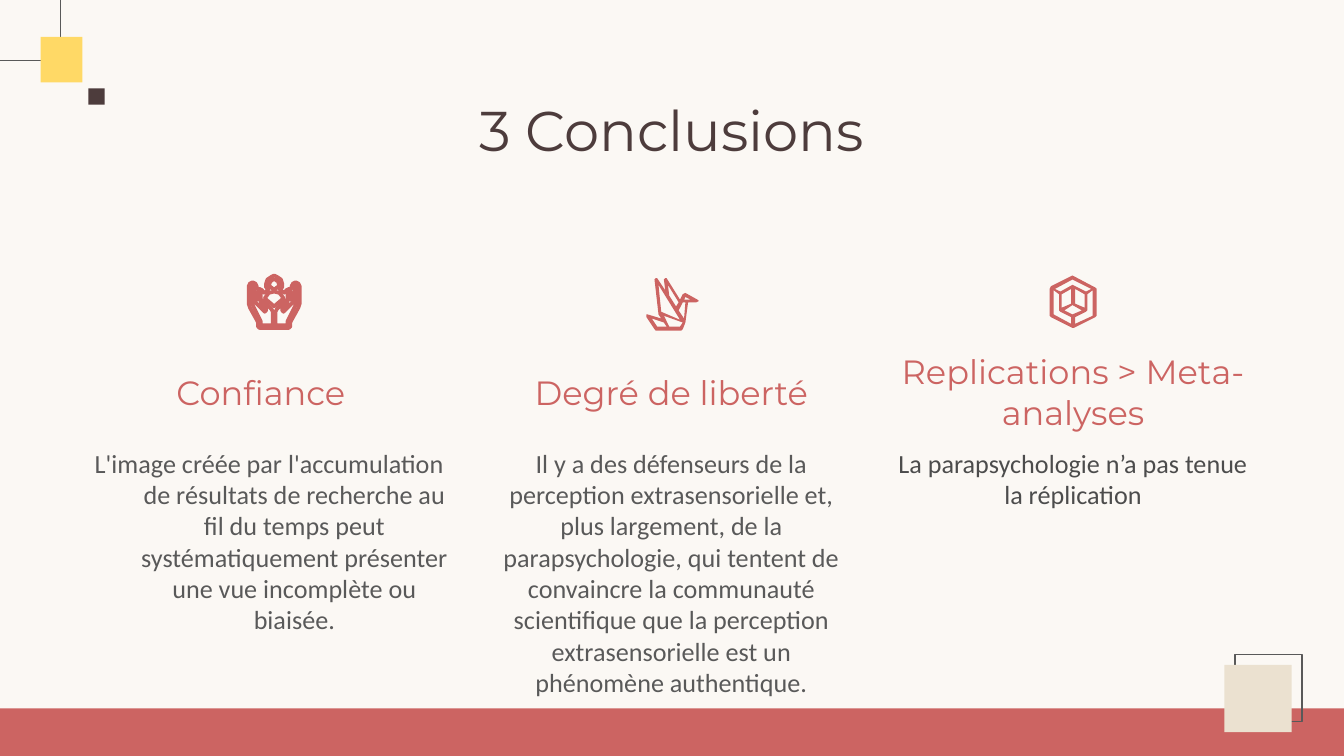
"""Build a slide with three conclusions, each under its own icon."""
import math
from dataclasses import dataclass
from typing import Optional

import pptx
import pptx.dml.color
import pptx.enum.shapes
import pptx.enum.text
import pptx.oxml
import pptx.oxml.ns
import pptx.slide
import pptx.text.text
import pptx.util

Cm = pptx.util.Cm
Pt = pptx.util.Pt
Contour = list[tuple[float, float]]

COLOURS = {
    "paper": "FBF8F4", "rule": "595959", "yellow": "FFD966", "brown": "4D3C3C",
    "red": "CC6462", "sand": "EBE1D0", "body": "595959", "dark body": "4C4C4C",
}
ICON_UNIT = Cm(0.0254)
HAND_AXIS = 204


@dataclass
class Block:
    left: float
    top: float
    width: float
    height: float
    fill: Optional[str] = None
    outline: Optional[str] = None


@dataclass
class Label:
    text: str
    left: float
    top: float
    width: float
    height: float
    font: str
    size: float
    colour: str
    centred: bool = True
    margin: float = 0
    indent: float = 0


@dataclass
class Column:
    centre: float
    heading: str
    heading_width: float
    body: str
    body_width: float
    body_colour: str = "body"
    margin: float = 0
    indent: float = 0


@dataclass
class Icon:
    contours: list[Contour]
    filled: bool = True


def circle(x: float, y: float, radius: float, steps: int = 20) -> Contour:
    angles = [2 * math.pi * step / steps for step in range(steps)]
    return [(x + radius * math.sin(angle), y - radius * math.cos(angle)) for angle in angles]


def mirror(contour: Contour) -> Contour:
    return [(2 * HAND_AXIS - x, y) for x, y in contour]


FINGER = [(215.5, 217), (217, 218), (217, 223), (216, 223), (214, 222), (214, 218)]
PALM = [
    (220, 212), (221, 213), (221, 226), (220, 227), (215, 237), (214, 239), (214, 242),
    (205, 242), (205, 232), (206, 230), (212, 224), (213, 223), (214, 224), (214, 225),
    (210, 229), (210, 231), (211, 231.5), (212, 231), (218, 225), (219, 222), (219, 213),
]
HALF_RIM = [
    (204, 205), (206.5, 205.6), (209, 207.5), (210, 211), (209.5, 213.5), (208, 215),
    (210, 217), (212, 218), (213, 216), (215, 215), (217, 215), (217, 213), (218, 211),
    (220, 210), (222, 211), (223, 213), (223, 226), (222, 229), (217, 238), (216, 240),
    (216, 243), (215, 244),
]
HEART = [
    (204, 217), (208, 218.5), (211, 222), (204.5, 228.5), (203.5, 228.5), (197, 222), (200, 218.5),
]
CUBE = Icon([
    [(798, 208), (812, 215), (808, 217), (798.5, 212), (789, 217), (785, 215)],
    [(797, 215), (797, 226), (790, 229), (790, 219)],
    [(800, 215), (807, 219), (807, 229), (800, 226)],
    [(798, 227), (805, 231), (798, 234), (792, 231)],
    [(784, 216), (788, 219), (788, 231), (789, 232), (797, 236), (797, 241), (784, 234)],
    [(813, 216), (813, 235), (800, 241), (800, 236), (808, 232), (809, 231), (809, 219)],
    [(798.5, 205), (782, 213), (781, 215), (781, 235), (782, 236), (798, 244.5), (799, 244.5),
     (815, 236), (816, 235), (816, 215), (815, 214)],
])
BIRD = Icon([
    [(510, 221), (514, 223), (509, 223)],
    [(497, 212), (505, 225), (503, 228), (498, 220)],
    [(510, 225), (509, 237), (505, 231), (508, 225)],
    [(490, 212), (506, 238), (492, 232)],
    [(485, 237), (494, 240), (496, 243), (489, 243)],
    [(494, 235), (508, 240), (506, 243), (498, 243)],
    [(488, 207), (487, 208), (490, 234), (492, 237), (482, 234), (481, 234.5), (481, 236),
     (487, 245), (488, 246), (507, 246), (508, 245), (510, 240), (512, 225), (518, 225),
     (519.5, 224), (519, 223), (510, 218), (508, 219), (506, 223), (496, 207), (495, 207),
     (494, 208), (495, 216), (489, 207)],
])
HANDS = Icon([
    circle(HAND_AXIS, 211.5, 3.5), FINGER, mirror(FINGER), HEART, PALM, mirror(PALM),
    HALF_RIM + mirror(HALF_RIM)[:0:-1],
], filled=False)

BLOCKS = [
    Block(0.77, 0.7, 0.79, 0.86, fill="yellow"),
    Block(1.67, 1.67, 0.31, 0.31, fill="brown"),
    Block(0, 13.39, 25.4, 0.9, fill="red"),
    Block(23.34, 12.37, 1.27, 1.27, outline="rule"),
    Block(23.14, 12.57, 1.27, 1.27, fill="sand"),
]
COLUMNS = [
    Column(4.93, "Confiance", 6.86,
           "L'image créée par l'accumulation de résultats de recherche au fil du temps peut "
           "systématiquement présenter une vue incomplète ou biaisée.", 7.77,
           margin=1.27, indent=-0.95),
    Column(12.69, "Degré de liberté", 7.24,
           "Il y a des défenseurs de la perception extrasensorielle et, plus largement, de la "
           "parapsychologie, qui tentent de convaincre la communauté scientifique que la "
           "perception extrasensorielle est un phénomène authentique.", 7.24),
    Column(20.28, "Replications > Meta-analyses", 7.24,
           "La parapsychologie n’a pas tenue la réplication", 7.24, "dark body"),
]


def colour(name: str) -> pptx.dml.color.RGBColor:
    return pptx.dml.color.RGBColor.from_string(COLOURS[name])


def paint(shape, fill: Optional[str], outline: Optional[str], weight: float = 0.75) -> None:
    shape.shadow.inherit = False
    if fill:
        shape.fill.solid()
        shape.fill.fore_color.rgb = colour(fill)
    else:
        shape.fill.background()
    if outline:
        shape.line.color.rgb = colour(outline)
        shape.line.width = Pt(weight)
    else:
        shape.line.fill.background()


def draw_rule(page: pptx.slide.Slide, x1: float, y1: float, x2: float, y2: float) -> None:
    rule = page.shapes.add_connector(
        pptx.enum.shapes.MSO_CONNECTOR.STRAIGHT, Cm(x1), Cm(y1), Cm(x2), Cm(y2))
    rule.line.color.rgb = colour("rule")
    rule.line.width = Pt(0.75)
    rule._element.spPr.append(pptx.oxml.parse_xml(
        f'<a:effectLst {pptx.oxml.ns.nsdecls("a")}/>'))


def draw_block(page: pptx.slide.Slide, block: Block) -> None:
    shape = page.shapes.add_shape(
        pptx.enum.shapes.MSO_SHAPE.RECTANGLE,
        Cm(block.left), Cm(block.top), Cm(block.width), Cm(block.height))
    paint(shape, block.fill, block.outline)


def draw_label(page: pptx.slide.Slide, label: Label) -> None:
    box = page.shapes.add_textbox(
        Cm(label.left), Cm(label.top), Cm(label.width), Cm(label.height))
    frame = box.text_frame
    frame.word_wrap = True
    anchors = pptx.enum.text.MSO_ANCHOR
    frame.vertical_anchor = anchors.MIDDLE if label.centred else anchors.TOP
    frame.margin_left = frame.margin_right = frame.margin_top = frame.margin_bottom = Cm(0.25)
    para = frame.paragraphs[0]
    para.alignment = pptx.enum.text.PP_ALIGN.CENTER
    if label.margin:
        properties = para._p.get_or_add_pPr()
        properties.set("marL", str(Cm(label.margin)))
        properties.set("indent", str(Cm(label.indent)))
    span = para.add_run()
    span.text = label.text
    span.font.name = label.font
    span.font.size = Pt(label.size)
    span.font.color.rgb = colour(label.colour)


def draw_icon(page: pptx.slide.Slide, icon: Icon) -> None:
    builder = page.shapes.build_freeform(*icon.contours[0][0], scale=ICON_UNIT)
    for contour in icon.contours:
        builder.move_to(*contour[0])
        builder.add_line_segments(contour[1:], close=True)
    shape = builder.convert_to_shape()
    paint(shape, "red" if icon.filled else None, None if icon.filled else "red", 2)


def draw_column(page: pptx.slide.Slide, column: Column) -> None:
    draw_label(page, Label(column.heading, column.centre - column.heading_width / 2, 6.96,
                           column.heading_width, 0.89, "Montserrat", 18, "red"))
    draw_label(page, Label(column.body, column.centre - column.body_width / 2, 8.2,
                           column.body_width, 3, "Calibri", 14, column.body_colour,
                           False, column.margin, column.indent))


def main() -> None:
    deck = pptx.Presentation()
    deck.slide_width, deck.slide_height = Cm(25.4), Cm(14.29)
    page = deck.slides.add_slide(deck.slide_layouts[6])
    page.background.fill.solid()
    page.background.fill.fore_color.rgb = colour("paper")
    draw_rule(page, 0, 1.14, 1.14, 1.14)
    draw_rule(page, 1.14, 0, 1.14, 1.14)
    for block in BLOCKS:
        draw_block(page, block)
    draw_label(page, Label("3 Conclusions", 0.86, 1.65, 23.67, 1.6, "Montserrat", 30, "brown"))
    for column in COLUMNS:
        draw_column(page, column)
    for icon in (CUBE, BIRD, HANDS):
        draw_icon(page, icon)
    deck.save("out.pptx")


if __name__ == "__main__":
    main()
